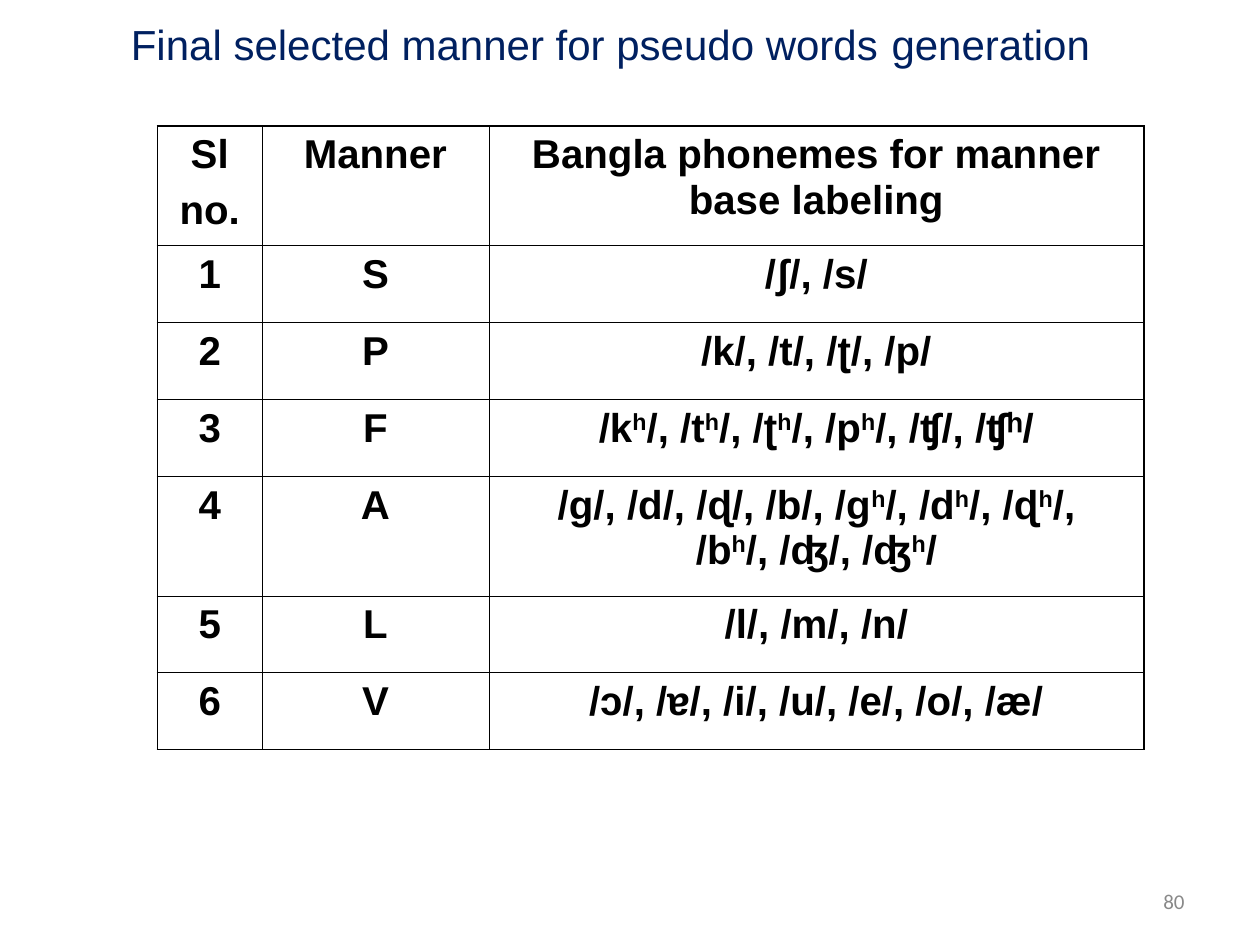
from lxml.etree import SubElement
from pptx import Presentation
from pptx.dml.color import RGBColor
from pptx.enum.text import MSO_ANCHOR as ANCHOR, PP_ALIGN as ALIGN
from pptx.oxml.ns import qn
from pptx.util import Inches, Pt


def color(value):
    return RGBColor.from_string(value)


class SlideBuilder:
    ink, navy, gray = "000000", "002060", "898989"
    thin, thick = 0.45, 1.08

    def __init__(self, prs):
        self.s = prs.slides.add_slide(prs.slide_layouts[6])

    def style(self, p, size, ink, name="Arial", bold=False, align=ALIGN.LEFT):
        p.alignment = align
        p.font.size, p.font.name, p.font.bold = Pt(size), name, bold
        p.font.color.rgb = color(ink)

    def text(self, box, runs, size, ink, name="Arial", align=ALIGN.LEFT, anchor=ANCHOR.TOP):
        tf = self.s.shapes.add_textbox(*map(Inches, box)).text_frame
        tf.word_wrap, tf.vertical_anchor = True, anchor
        p = tf.paragraphs[0]
        self.style(p, size, ink, name, align=align)
        for words, run_size in runs:
            r = p.add_run()
            r.text = words
            if run_size != size:
                r.font.size = Pt(run_size)

    def border(self, cell, side, width):
        ln = SubElement(cell._tc.get_or_add_tcPr(), qn(f"a:ln{side}"), w=str(Pt(width)))
        SubElement(SubElement(ln, qn("a:solidFill")), qn("a:srgbClr"), val=self.ink)

    def cell(self, cell, words, widths):
        for side, width in zip("LRTB", widths):
            self.border(cell, side, width)
        cell.fill.background()
        cell.margin_left = cell.margin_right = Inches(0.1)
        tf = cell.text_frame
        for i, line in enumerate(words.split("\n")):
            p = tf.add_paragraph() if i else tf.paragraphs[0]
            if i:
                p.space_before = Pt(5.8)
            self.style(p, 23, self.ink, bold=True, align=ALIGN.CENTER)
            for j, piece in enumerate(line.split("^")):
                r = p.add_run()
                r.text = piece
                if j % 2:
                    r._r.get_or_add_rPr().set("baseline", "30000")

    def table(self, left, top, cols, heights, rows):
        box = map(Inches, (left, top, sum(cols), sum(heights)))
        table = self.s.shapes.add_table(len(rows), len(cols), *box).table
        table.first_row = table.horz_banding = False
        for col, width in zip(table.columns, cols):
            col.width = Inches(width)
        for row, height in zip(table.rows, heights):
            row.height = Inches(height)
        last_row, last_col = len(rows) - 1, len(cols) - 1
        for y, row in enumerate(rows):
            for x, words in enumerate(row):
                outer = (x == 0, x == last_col, y == 0, y == last_row)
                widths = [self.thick if edge else self.thin for edge in outer]
                self.cell(table.cell(y, x), words, widths)


ROWS = [
    ("Sl\nno.", "Manner", "Bangla phonemes for manner base labeling"),
    ("1", "S", "/ʃ/, /s/"),
    ("2", "P", "/k/, /t/, /ʈ/, /p/"),
    ("3", "F", "/k^h^/, /t^h^/, /ʈ^h^/, /p^h^/, /ʧ/, /ʧʰ/"),
    ("4", "A", "/g/, /d/, /ɖ/, /b/, /g^h^/, /d^h^/, /ɖ^h^/, /b^h^/, /ʤ/, /ʤ^h^/"),
    ("5", "L", "/l/, /m/, /n/"),
    ("6", "V", "/ɔ/, /ɐ/, /i/, /u/, /e/, /o/, /æ/"),
]
TALL_ROWS = (0, 4)
TITLE = [("Final selected manner for pseudo words", 24), (" ", 28), ("generation", 24)]


def main():
    prs = Presentation()
    prs.slide_width, prs.slide_height = Inches(10), Inches(7.5)
    slide = SlideBuilder(prs)
    slide.text((7.17, 6.95, 2.33, 0.4), [("80", 12)], 12, slide.gray, "Calibri",
               ALIGN.RIGHT, ANCHOR.MIDDLE)
    heights = [0.95 if i in TALL_ROWS else 0.61 for i in range(len(ROWS))]
    slide.table(1.25, 1, (0.83, 1.8, 5.2), heights, ROWS)
    slide.text((0.94, 0.04, 8.15, 0.57), TITLE, 24, slide.navy)
    prs.save("out.pptx")


if __name__ == "__main__":
    main()
